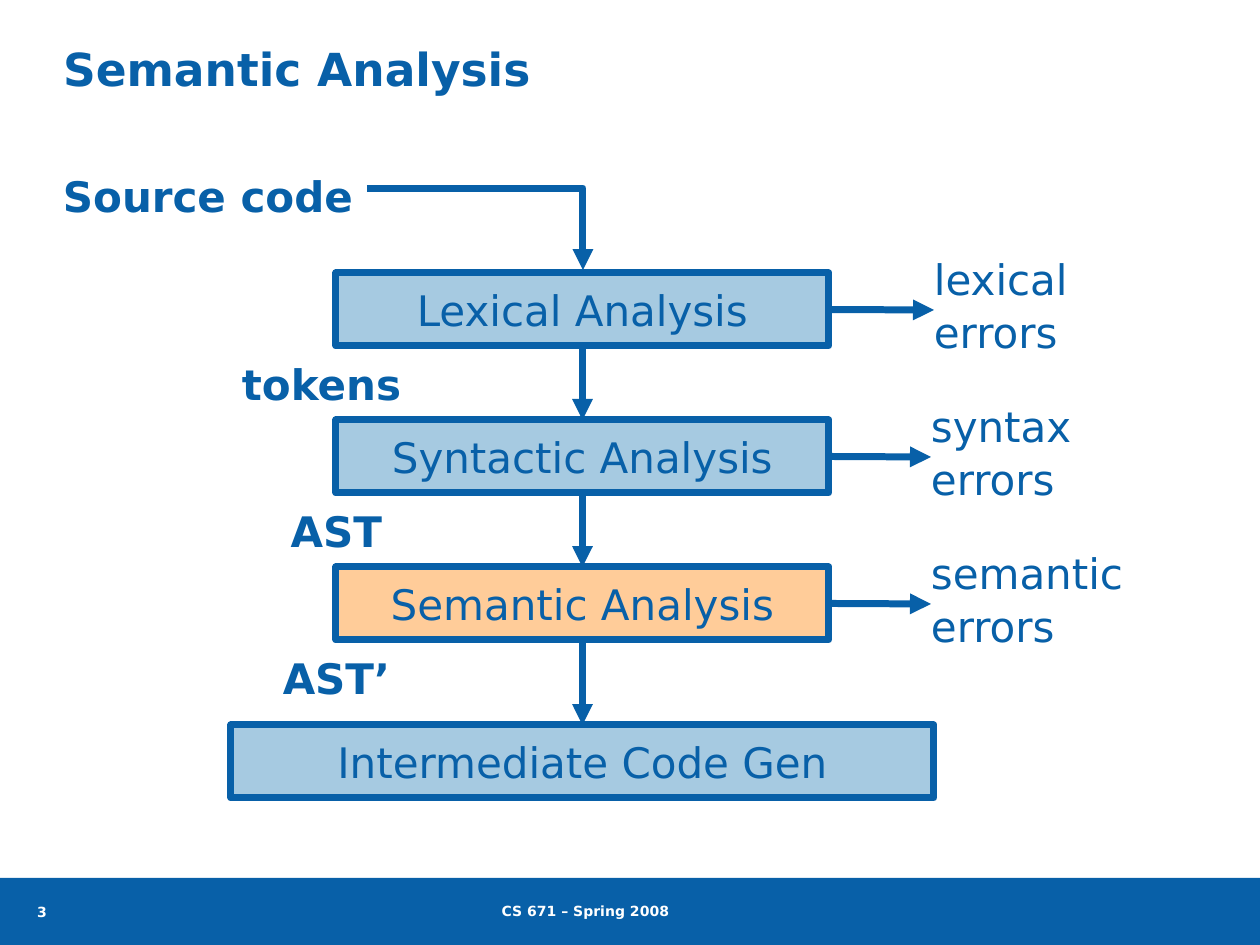
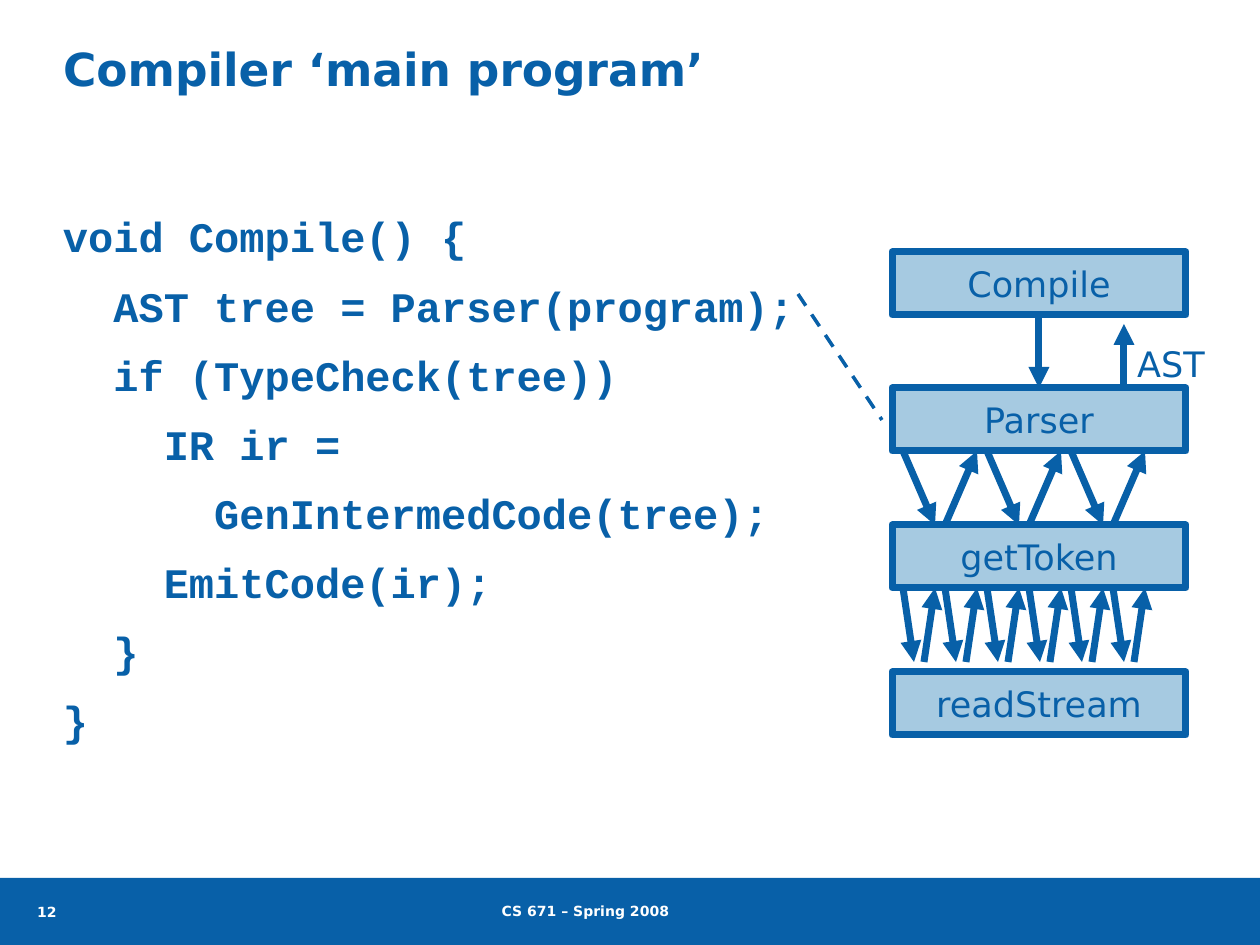
from dataclasses import dataclass

from lxml import etree
from pptx import Presentation
from pptx import util as u
from pptx.dml.color import RGBColor
from pptx.enum import dml, shapes, text
from pptx.oxml import ns

PX = 914400 / 126


@dataclass(frozen=True)
class Theme:
    blue: RGBColor = RGBColor(0x08, 0x60, 0xA8)
    pale: RGBColor = RGBColor(0xA6, 0xCA, 0xE1)
    peach: RGBColor = RGBColor(0xFF, 0xCC, 0x99)
    white: RGBColor = RGBColor(0xFF, 0xFF, 0xFF)
    font: str = "DejaVu Sans"
    code_font: str = "Courier New"
    title: int = 26
    large: int = 24
    medium: int = 20
    footer: int = 8
    border: int = 4


T = Theme()
LEFT, CENTER = text.PP_ALIGN.LEFT, text.PP_ALIGN.CENTER
TOP, MIDDLE = text.MSO_ANCHOR.TOP, text.MSO_ANCHOR.MIDDLE


def add_text(s, at, txt, size, fill=None, color=T.blue, font=T.font, bold=False,
             align=LEFT, anchor=TOP, spacing=1.0, before=0):
    """Add a text box, or a bordered node with centred text when fill is given."""
    at = [round(v * PX) for v in at]
    if fill:
        sp = s.shapes.add_shape(shapes.MSO_SHAPE.RECTANGLE, *at)
        sp.shadow.inherit = False
        sp.fill.solid()
        sp.fill.fore_color.rgb = fill
        sp.line.color.rgb = T.blue
        sp.line.width = u.Pt(T.border)
        align, anchor = CENTER, MIDDLE
    else:
        sp = s.shapes.add_textbox(*at)
    tf = sp.text_frame
    tf.word_wrap = not fill
    tf.vertical_anchor = anchor
    tf.margin_left = tf.margin_right = tf.margin_top = tf.margin_bottom = 0
    tf.text = txt
    for i, p in enumerate(tf.paragraphs):
        p.alignment = align
        p.line_spacing = spacing
        p.space_before = u.Pt(before if i else 0)
        for r in p.runs:
            r.font.name, r.font.size, r.font.bold = font, u.Pt(size), bold
            r.font.color.rgb = color
    return sp


def add_line(parent, x1, y1, x2, y2, width=T.border, arrow=True,
             kind=shapes.MSO_CONNECTOR.STRAIGHT):
    ln = parent.shapes.add_connector(kind, *[round(v * PX) for v in (x1, y1, x2, y2)])
    ln.line.color.rgb = T.blue
    ln.line.width = u.Pt(width)
    if arrow:
        etree.SubElement(ln.line._get_or_add_ln(), ns.qn("a:tailEnd"), type="triangle")
    etree.SubElement(ln._element.spPr, ns.qn("a:effectLst"))
    return ln


prs = Presentation()
prs.slide_width, prs.slide_height = round(1260 * PX), round(945 * PX)
layout = prs.slide_layouts[5]
for ph in list(layout.placeholders):
    if ph.placeholder_format.type != shapes.PP_PLACEHOLDER.TITLE:
        ph._element.getparent().remove(ph._element)

# Titles and slide numbers
slides = []
for title, number in (("Semantic Analysis", "3"), ("Compiler ‘main program’", "12")):
    s = prs.slides.add_slide(layout)
    sp = s.shapes.title
    sp.left, sp.top, sp.width, sp.height = [round(v * PX) for v in (63, 41, 1029, 68)]
    tf = sp.text_frame
    tf.text = title
    tf.auto_size = text.MSO_AUTO_SIZE.NONE
    tf.vertical_anchor = TOP
    tf.margin_left = tf.margin_right = tf.margin_top = tf.margin_bottom = 0
    p = tf.paragraphs[0]
    p.alignment = LEFT
    r = p.runs[0]
    r.font.name, r.font.size, r.font.bold = T.font, u.Pt(T.title), True
    r.font.color.rgb = T.blue
    slides.append(s)
flow, program = slides

# Footer band, moved to the layout so that both slides share it
band = flow.shapes.add_shape(shapes.MSO_SHAPE.RECTANGLE, 0, round(878 * PX),
                             prs.slide_width, round(67 * PX))
band.shadow.inherit = False
band.fill.solid()
band.fill.fore_color.rgb = T.blue
band.line.fill.background()
course = add_text(flow, (447, 890, 277, 42), "CS 671 – Spring 2008", T.footer,
                  color=T.white, bold=True, align=CENTER, anchor=MIDDLE)
for sp in (band, course):
    layout.shapes._spTree.append(sp._element)
for s, number in ((flow, "3"), (program, "12")):
    add_text(s, (37, 891, 58, 42), number, T.footer, color=T.white, bold=True, anchor=MIDDLE)

# Compiler phases, each with its errors and the output passed on
add_text(flow, (63, 169, 300, 53), "Source code", T.large, bold=True, spacing=1.04)
phases = [
    ("Lexical Analysis", 273, T.pale, ("lexical errors", 934, 179), ("tokens", LEFT)),
    ("Syntactic Analysis", 420, T.pale, ("syntax errors", 931, 179), ("AST", CENTER)),
    ("Semantic Analysis", 567, T.peach, ("semantic errors", 931, 214), ("AST’", CENTER)),
]
nodes = []
for name, y, fill, (error, x, w), (output, align) in phases:
    node = add_text(flow, (336, y, 493, 73), name, T.large, fill)
    label = add_text(flow, (x, y - 21, w, 116), error, T.large, spacing=1.04)
    ln = add_line(flow, 829, y + 37, x, y + 37)
    ln.begin_connect(node, 3)
    ln.end_connect(label, 1)
    add_text(flow, (242, y + 84, 189, 53), output, T.large, bold=True, align=align, spacing=1.04)
    nodes.append(node)
nodes.append(add_text(flow, (231, 725, 703, 73), "Intermediate Code Gen", T.large, T.pale))
for upper, lower in zip(nodes, nodes[1:]):
    ln = add_line(flow, 583, 346, 583, 420)
    ln.begin_connect(upper, 2)
    ln.end_connect(lower, 0)
ln = add_line(flow, 367, 188, 583, 270, kind=shapes.MSO_CONNECTOR.ELBOW)
ln._element.spPr.find(ns.qn("a:prstGeom")).set("prst", "bentConnector2")

# Main program
code = """void Compile() {
  AST tree = Parser(program);
  if (TypeCheck(tree))
    IR ir =
      GenIntermedCode(tree);
    EmitCode(ir);
  }
}"""
add_text(program, (63, 211, 780, 530), code, T.large, font=T.code_font, bold=True, before=10.7)

# Call chain
calls = [add_text(program, (892, y, 294, 63), name, T.medium, T.pale)
         for name, y in (("Compile", 252), ("Parser", 388), ("getToken", 525), ("readStream", 672))]
ln = add_line(program, 1039, 315, 1039, 388)
ln.begin_connect(calls[0], 2)
ln.end_connect(calls[1], 0)
add_line(program, 1124, 387, 1124, 324)
add_text(program, (1113, 342, 116, 43), "AST", T.medium, align=CENTER)
ln = add_line(program, 798, 294, 882, 420, width=2, arrow=False)
ln.line.dash_style = dml.MSO_LINE.DASH

# Repeated calls and returns between neighbouring levels
for count, step, run, top, bottom in ((3, 84, 32, 451, 525), (6, 42, 11, 588, 662)):
    g = program.shapes.add_group_shape()
    for i in range(count):
        x = 903 + i * step
        back = x + step // 2
        add_line(g, x, top, x + run, bottom)
        add_line(g, back, bottom, back + run, top)

# Loose arrowheads beside the calls
for x, y in [(903, 483), (977, 483), (1071, 483)] + [(892 + 42 * i, 662) for i in range(6)]:
    add_line(program, x, y, x, y)

prs.save("out.pptx")
